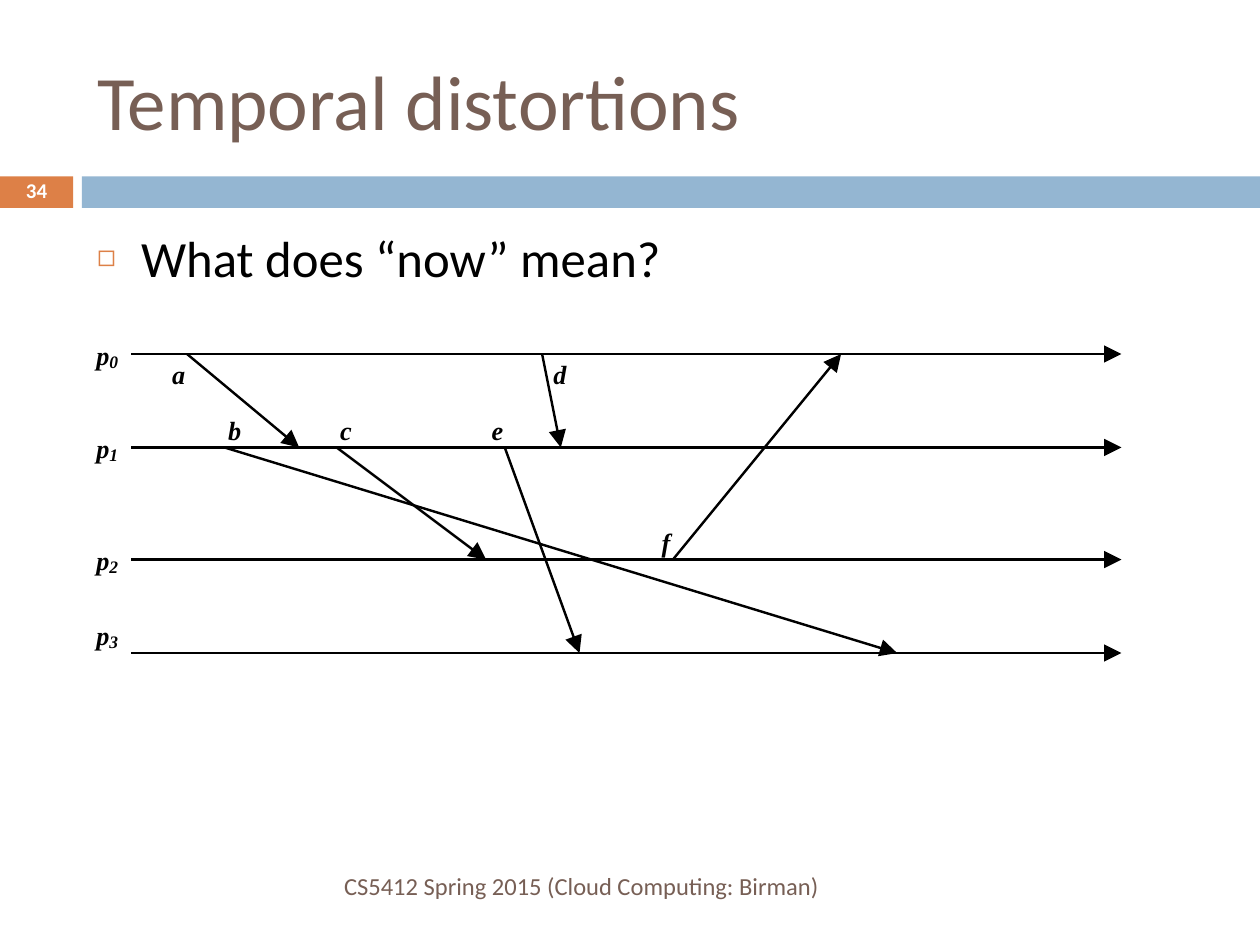
from lxml.etree import SubElement
from pptx import Presentation
from pptx.dml.color import RGBColor
from pptx.enum.shapes import MSO_CONNECTOR, MSO_SHAPE
from pptx.enum.text import MSO_ANCHOR, MSO_AUTO_SIZE, PP_ALIGN
from pptx.oxml.ns import qn
from pptx.util import Inches, Pt

BROWN = RGBColor(0x77, 0x5F, 0x55)
ORANGE = RGBColor(0xDD, 0x80, 0x47)
BLUE = RGBColor(0x94, 0xB6, 0xD2)
BLACK = RGBColor(0, 0, 0)
WHITE = RGBColor(255, 255, 255)

SLIDE_COLUMNS, SLIDE_ROWS = 100, 75
TIMELINE_ROWS = (0, 5, 11, 16)
TIMELINE_END = 53
PROCESS_LABEL_ROWS = (-0.8, 4.2, 10.2, 14.2)

# Each message: start column, sending process, end column, receiving process
MESSAGES = (
    (3, 0, 9, 1),
    (11, 1, 19, 2),
    (5, 1, 41, 3),
    (29, 2, 38, 0),
    (22, 0, 23, 1),
    (20, 1, 24, 3),
)
# Each event: name, column, row, width in columns
EVENTS = (
    ("a", 2.2, 0.2, 0.75),
    ("b", 5.2, 3.2, 0.75),
    ("c", 11.2, 3.2, 0.6),
    ("d", 22.6, 0.2, 0.75),
    ("e", 19.3, 3.2, 0.6),
    ("f", 28.4, 9.2, 0.5),
)


class TimelineSlide:
    """Places page parts on a 100 x 75 grid and diagram parts on a finer one."""

    heading_font = "Calibri"
    diagram_font = "Times New Roman"
    diagram_left, diagram_top = Inches(1.04), Inches(2.81)
    diagram_cell = Inches(7.86) / TIMELINE_END

    def __init__(self, presentation):
        presentation.slide_width, presentation.slide_height = Inches(10), Inches(7.5)
        self.page_cell = presentation.slide_width / SLIDE_COLUMNS
        self.slide = presentation.slides.add_slide(presentation.slide_layouts[1])

    def page_box(self, *cells):
        return [round(cell * self.page_cell) for cell in cells]

    def diagram_point(self, column, row):
        return (round(self.diagram_left + column * self.diagram_cell),
                round(self.diagram_top + row * self.diagram_cell))

    def set_font(self, paragraph, size, color, name=heading_font, strong=False, slanted=False):
        font = paragraph.font
        font.name, font.size, font.bold, font.italic = name, Pt(size), strong, slanted
        font.color.rgb = color

    def fill_placeholder(self, index, box, words, size, color):
        holder = self.slide.placeholders[index]
        holder.left, holder.top, holder.width, holder.height = self.page_box(*box)
        holder.text_frame.text = words
        holder.text_frame.auto_size = MSO_AUTO_SIZE.NONE
        paragraph = holder.text_frame.paragraphs[0]
        paragraph.alignment = PP_ALIGN.LEFT
        paragraph.space_before = Pt(0)
        return paragraph, size, color

    def title(self, box, words, size):
        self.set_font(*self.fill_placeholder(0, box, words, size, BROWN))

    def bullet(self, box, words, size):
        paragraph, size, color = self.fill_placeholder(1, box, words, size, BLACK)
        properties = paragraph._p.get_or_add_pPr()
        properties.set("marL", str(Inches(0.35)))
        properties.set("indent", str(-Inches(0.35)))
        bullet_color = SubElement(properties, qn("a:buClr"))
        SubElement(bullet_color, qn("a:srgbClr"), val=str(ORANGE))
        SubElement(properties, qn("a:buSzPct"), val="60000")
        SubElement(properties, qn("a:buChar"), char="◻")
        self.set_font(paragraph, size, color)

    def band(self, box, color):
        band = self.slide.shapes.add_shape(MSO_SHAPE.RECTANGLE, *self.page_box(*box))
        band.shadow.inherit = False
        band.fill.solid()
        band.fill.fore_color.rgb = color
        band.line.fill.background()

    def page_text(self, box, words, size, color, alignment, strong=False, line_spacing=1.0):
        frame = self.slide.shapes.add_textbox(*self.page_box(*box)).text_frame
        frame.word_wrap = True
        frame.vertical_anchor = MSO_ANCHOR.MIDDLE
        frame.text = words
        paragraph = frame.paragraphs[0]
        paragraph.alignment = alignment
        paragraph.line_spacing = line_spacing
        self.set_font(paragraph, size, color, strong=strong)

    def label(self, words, column, row, width, size=15):
        height = Pt(size * 1.15)
        frame = self.slide.shapes.add_textbox(
            *self.diagram_point(column, row), round(width * self.diagram_cell), height
        ).text_frame
        frame.margin_left = frame.margin_right = frame.margin_top = frame.margin_bottom = 0
        frame.word_wrap = False
        frame.text = words
        self.set_font(frame.paragraphs[0], size, BLACK, self.diagram_font, True, True)

    def arrow(self, start, end):
        arrow = self.slide.shapes.add_connector(
            MSO_CONNECTOR.STRAIGHT, *self.diagram_point(*start), *self.diagram_point(*end))
        arrow.line.color.rgb = BLACK
        arrow.line.width = Pt(1.4)
        SubElement(arrow.line._get_or_add_ln(), qn("a:tailEnd"), type="triangle", w="lg", len="lg")
        SubElement(arrow._element.spPr, qn("a:effectLst"))


def main():
    presentation = Presentation()
    page = TimelineSlide(presentation)
    page.band((0, 14, 5.8, 2.5), ORANGE)
    page.band((6.5, 14, 93.5, 2.5), BLUE)
    page.title((6.7, 2.5, 89.2, 10.8), "Temporal distortions", 44)
    page.bullet((6.7, 17.5, 89.2, 49.2), "What does “now” mean?", 29)

    for process, (line_row, label_row) in enumerate(zip(TIMELINE_ROWS, PROCESS_LABEL_ROWS)):
        page.arrow((0, line_row), (TIMELINE_END, line_row))
        page.label("p", -1.85, label_row, 0.75)
        page.label(str(process), -1.15, label_row + 0.62, 0.5, size=10)
    for start_column, sender, end_column, receiver in MESSAGES:
        page.arrow((start_column, TIMELINE_ROWS[sender]), (end_column, TIMELINE_ROWS[receiver]))
    for event in EVENTS:
        page.label(*event)

    page.page_text((6.7, 68.3, 59.3, 4), "CS5412 Spring 2015 (Cloud Computing: Birman)",
                   14, BROWN, PP_ALIGN.RIGHT)
    page.page_text((0, 13.9, 5.8, 2.7), "34", 12, WHITE, PP_ALIGN.CENTER,
                   strong=True, line_spacing=0.8)
    presentation.save("out.pptx")


if __name__ == "__main__":
    main()
